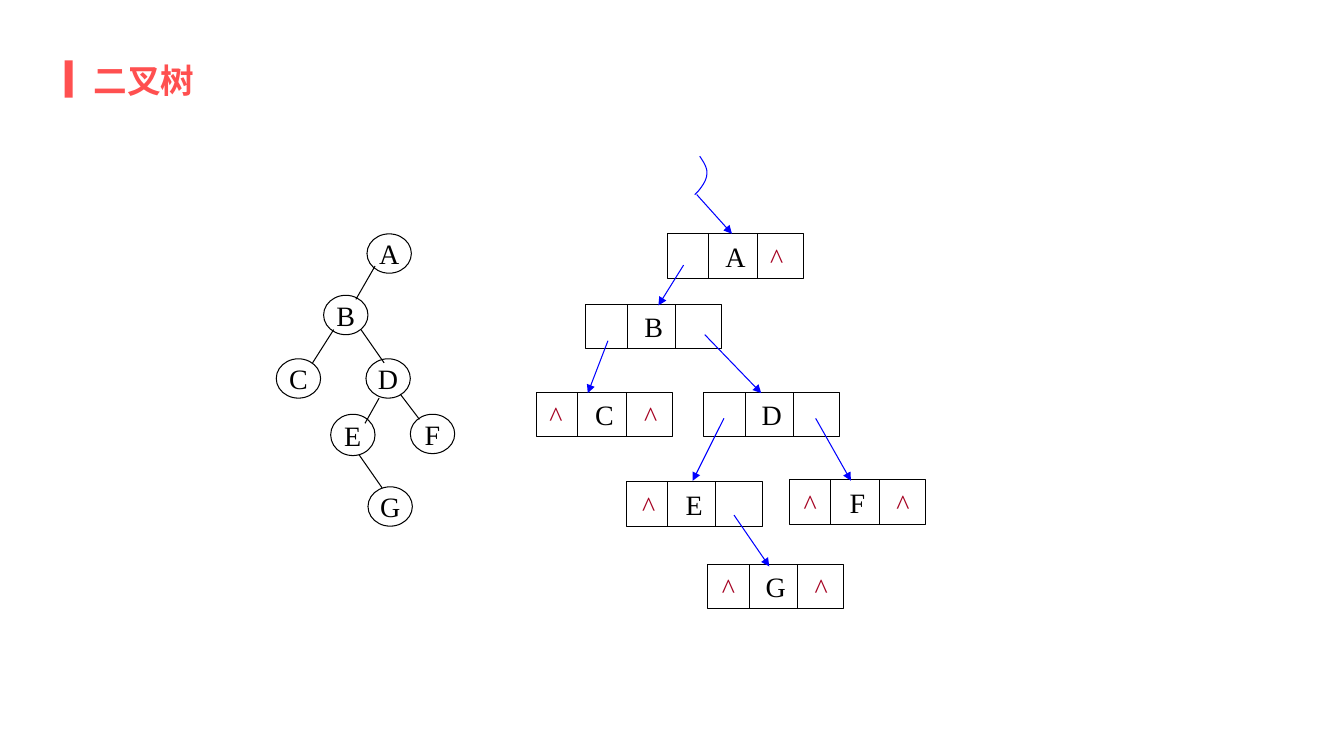
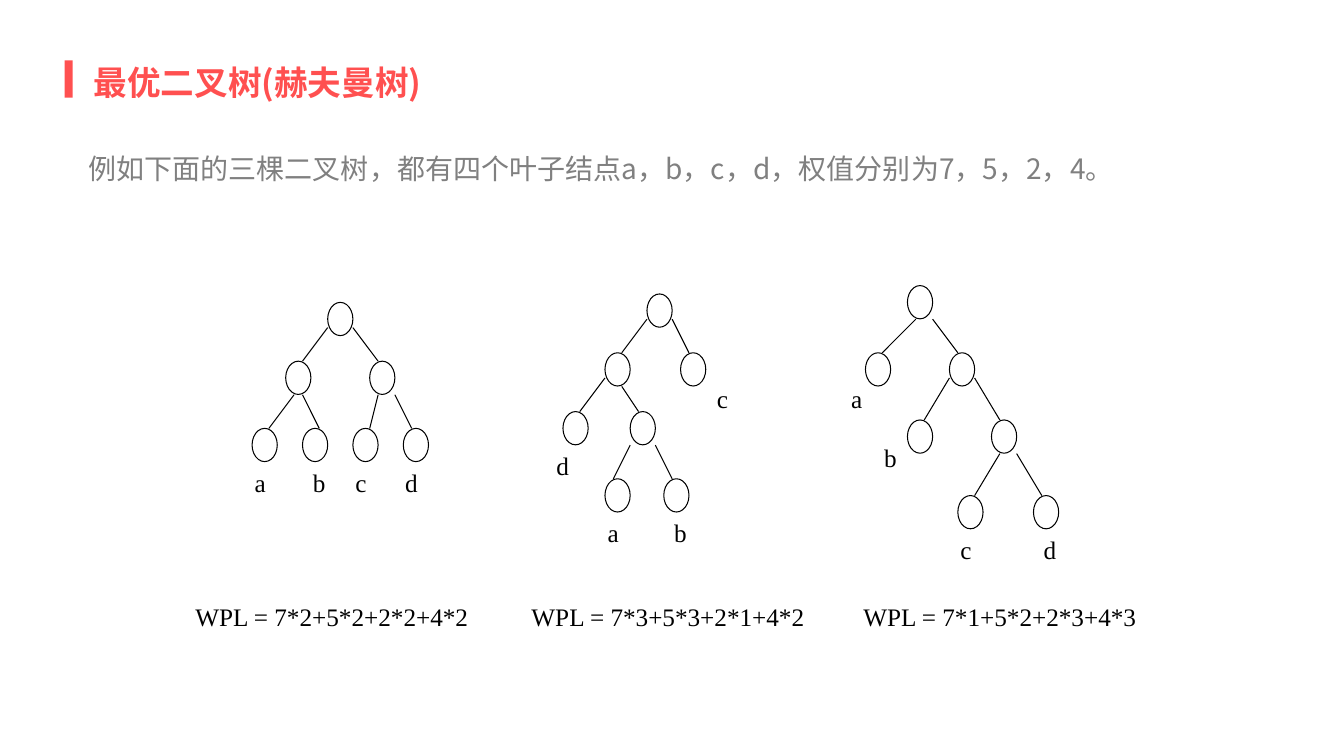
from lxml.etree import SubElement
from pptx import Presentation
from pptx.dml.color import RGBColor
from pptx.enum.shapes import MSO_CONNECTOR as Link, MSO_SHAPE as Kind
from pptx.enum.text import MSO_ANCHOR as Anchor, PP_ALIGN as Align
from pptx.oxml.ns import qn
from pptx.util import Inches, Pt

RED = RGBColor(0xFF, 0x50, 0x50)
GRAY = RGBColor(0x80, 0x80, 0x80)
BLACK = RGBColor(0, 0, 0)
WHITE = RGBColor(0xFF, 0xFF, 0xFF)
BLUE = RGBColor(0, 0, 0xFF)
WINE = RGBColor(0xA5, 0x00, 0x21)
HAN = "Noto Sans CJK SC"
ROMAN = "Times New Roman"
THIN = Pt(0.75)


def box(slide, kind, at, text="", size=20, font=ROMAN, ink=BLACK, bold=False,
        align=Align.CENTER, anchor=Anchor.MIDDLE, wrap=False, fill=None, edge=BLACK):
    """Add a preset shape, or a text box when kind is None."""
    at = [Inches(v) for v in at]
    if kind is None:
        item = slide.shapes.add_textbox(*at)
    else:
        item = slide.shapes.add_shape(kind, *at)
        item.shadow.inherit = False
        if fill is None:
            item.fill.background()
        else:
            item.fill.solid()
            item.fill.fore_color.rgb = fill
        if edge is None:
            item.line.fill.background()
        else:
            item.line.color.rgb = edge
            item.line.width = THIN
    if text:
        frame = item.text_frame
        frame.word_wrap = wrap
        frame.vertical_anchor = anchor
        para = frame.paragraphs[0]
        para.alignment = align
        run = para.add_run()
        run.text = text
        run.font.size = Pt(size)
        run.font.bold = bold
        run.font.color.rgb = ink
        run.font.name = font
        SubElement(run.font._element, qn("a:ea"), typeface=font)
    return item


def line(slide, ends, ink=BLACK, arrow=False):
    """Add a straight line from (x1, y1) to (x2, y2)."""
    item = slide.shapes.add_connector(Link.STRAIGHT, *[Inches(v) for v in ends])
    item.line.color.rgb = ink
    item.line.width = THIN
    if arrow:
        SubElement(item.line._get_or_add_ln(), qn("a:tailEnd"), type="triangle")
    SubElement(item._element.spPr, qn("a:effectLst"))


deck = Presentation()
deck.slide_width = Inches(13.33)
deck.slide_height = Inches(7.5)

# Shared bar and title
pages = []
for title, top in [("二叉树", 0.58), ("最优二叉树(赫夫曼树)", 0.6)]:
    page = deck.slides.add_slide(deck.slide_layouts[6])
    box(page, Kind.RECTANGLE, (0.64, 0.6, 0.08, 0.37), fill=RED, edge=None)
    box(page, None, (0.83, top, 11.68, 0.46), title, 24, HAN, RED, True,
        Align.LEFT, Anchor.BOTTOM, True)
    pages.append(page)
first, second = pages

# Slide 1: linked cells, each with the offsets of its null marks
cells = [
    ("A", 6.62, 2.32, [0.92]),
    ("B", 5.81, 3.02, []),
    ("C", 5.32, 3.89, [0.03, 0.97]),
    ("D", 6.98, 3.89, []),
    ("E", 6.21, 4.78, [0.06]),
    ("F", 7.83, 4.76, [0.04, 0.96]),
    ("G", 7.02, 5.6, [0.04, 0.96]),
]
for name, x, y, nulls in cells:
    box(first, Kind.RECTANGLE, (x, y, 1.35, 0.44), name)
    for dx in (0.41, 0.89):
        line(first, (x + dx, y, x + dx, y + 0.44))
    for dx in nulls:
        box(first, None, (x + dx, y + 0.01, 0.33, 0.44), "^", ink=WINE)

# Pointers, the last one from the root curve
for ends in [
    (6.78, 2.63, 6.53, 3.03), (6.03, 3.38, 5.83, 3.9), (6.99, 3.32, 7.55, 3.9),
    (7.18, 4.15, 6.87, 4.77), (8.09, 4.15, 8.44, 4.77), (7.28, 5.11, 7.63, 5.62),
    (6.91, 1.93, 7.26, 2.32),
]:
    line(first, ends, BLUE, True)

# Root curve, traced along two cubic arcs
arcs = [
    [(6.94, 1.55), (6.98, 1.61), (7.02, 1.67), (7.01, 1.73)],
    [(7.01, 1.73), (7.01, 1.8), (6.92, 1.91), (6.89, 1.93)],
]
dots = []
for arc in arcs:
    for step in range(1, 13):
        t = step / 12
        mix = [(1 - t) ** 3, 3 * t * (1 - t) ** 2, 3 * t * t * (1 - t), t ** 3]
        dots.append([Inches(sum(m * p[i] for m, p in zip(mix, arc))) for i in (0, 1)])
pen = first.shapes.build_freeform(Inches(6.94), Inches(1.55))
pen.add_line_segments(dots, close=False)
curve = pen.convert_to_shape()
curve.shadow.inherit = False
curve.fill.background()
curve.line.color.rgb = BLUE
curve.line.width = THIN

# Round tree
for name, x, y, high in [
    ("A", 3.64, 2.32, 0.39), ("B", 3.21, 2.93, 0.39), ("C", 2.74, 3.56, 0.39),
    ("D", 3.63, 3.56, 0.39), ("E", 3.28, 4.11, 0.41), ("F", 4.07, 4.11, 0.39),
    ("G", 3.65, 4.83, 0.39),
]:
    box(first, Kind.OVAL, (x, y, 0.44, high), name)
for ends in [
    (3.72, 2.64, 3.53, 2.97), (3.31, 3.27, 3.1, 3.6), (3.58, 3.27, 3.81, 3.6),
    (3.76, 3.95, 3.62, 4.2), (3.97, 3.91, 4.16, 4.16), (3.56, 4.51, 3.79, 4.84),
]:
    line(first, ends)

# Slide 2: lead text
lead = box(second, None, (0.78, 1.35, 11.73, 4.9),
           "例如下面的三棵二叉树，都有四个叶子结点a，b，c，d，权值分别为7，5，2，4。",
           20, HAN, GRAY, align=Align.LEFT, anchor=Anchor.TOP, wrap=True)
lead.text_frame.paragraphs[0].line_spacing = 1.3

# Three trees on a grid of twelfths of an inch: nodes, edges, leaf names, sum
trees = [
    ([(39, 36), (34, 43), (44, 43), (30, 51), (36, 51), (42, 51), (48, 51)],
     [(39, 39, 36, 43), (42, 39, 45, 43), (35, 47, 32, 51),
      (36, 47, 38, 51), (45, 47, 44, 51), (47, 47, 49, 51)],
     [("a", 29, 55), ("b", 36, 55), ("c", 41, 55), ("d", 47, 55)],
     ("WPL = 7*2+5*2+2*2+4*2", 20, 39)),
    ([(77, 35), (72, 42), (81, 42), (67, 49), (75, 49), (72, 57), (79, 57)],
     [(77, 38, 74, 42), (80, 38, 82, 42), (72, 45, 69, 49),
      (74, 46, 76, 49), (75, 53, 73, 57), (78, 53, 80, 57)],
     [("a", 71, 61), ("b", 79, 61), ("c", 84, 45), ("d", 65, 53)],
     ("WPL = 7*3+5*3+2*1+4*2", 55, 49)),
    ([(108, 34), (103, 42), (113, 42), (108, 50), (118, 50), (114, 59), (123, 59)],
     [(109, 38, 105, 42), (111, 38, 114, 42), (113, 45, 110, 50),
      (116, 45, 119, 50), (119, 54, 116, 59), (121, 54, 124, 59)],
     [("a", 100, 45), ("b", 104, 52), ("c", 113, 63), ("d", 123, 63)],
     ("WPL = 7*1+5*2+2*3+4*3", 95, 48)),
]
for nodes, edges, leaves, (total, left, wide) in trees:
    for x, y in nodes:
        box(second, Kind.OVAL, (x / 12, y / 12, 0.25, 0.33), fill=WHITE)
    for ends in edges:
        line(second, [v / 12 for v in ends])
    for name, x, y in leaves:
        box(second, None, (x / 12, y / 12, 0.33, 0.4), name, 18, wrap=True)
    box(second, None, (left / 12, 71 / 12, wide / 12, 0.4), total, 18, wrap=True)

deck.save("out.pptx")
